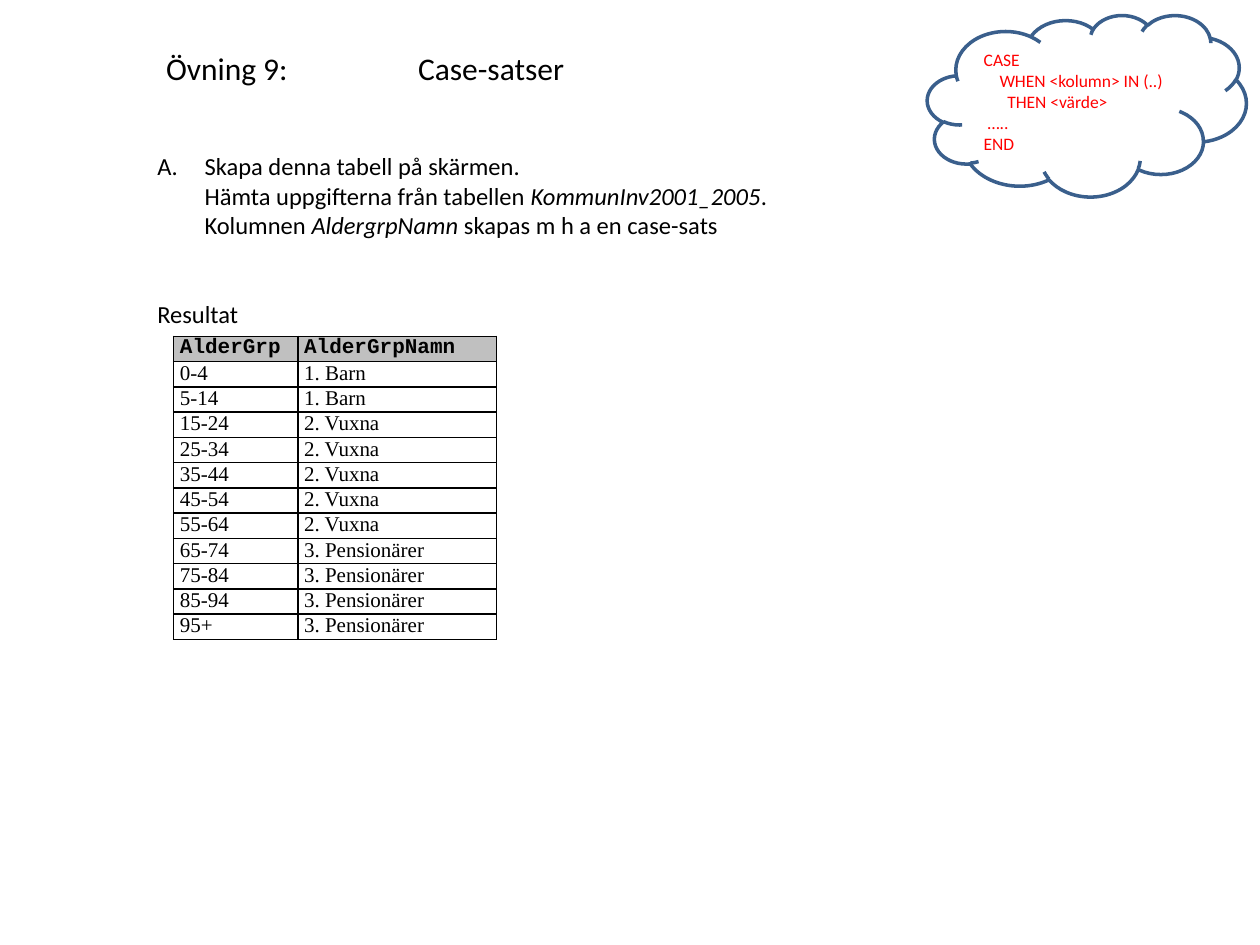
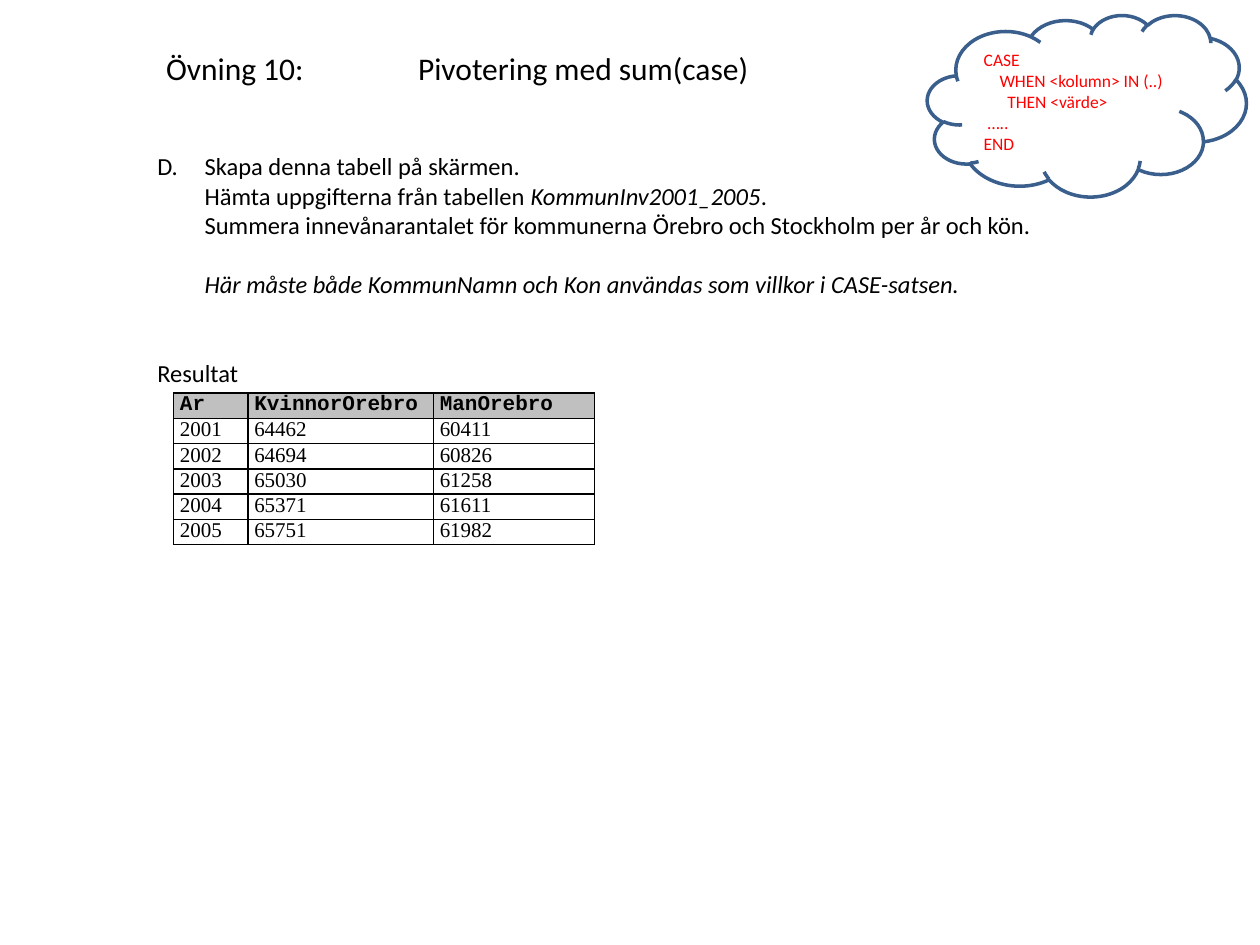
from lxml import etree
from pptx import Presentation
from pptx.dml.color import RGBColor
from pptx.enum.shapes import MSO_SHAPE
from pptx.enum.text import MSO_ANCHOR, PP_ALIGN
from pptx.oxml.ns import qn
from pptx.util import Pt

CLOUD = MSO_SHAPE.CLOUD
MIDDLE = MSO_ANCHOR.MIDDLE
LEFT = PP_ALIGN.LEFT

COLORS = {"text": "000000", "code": "FF0000", "cloud": "3A5F8C",
          "header": "C0C0C0", "border": "000000"}
BODY_FONT = "Calibri"
HEADER_FONT = "Courier New"
CELL_FONT = "Times New Roman"
LINE_HEIGHT = 17
LIST_INDENT = 27
ROW_HEIGHT = 14.4
TABLE_LEFT = 99.2

CODE_LINES = [("CASE", 0), ("WHEN <kolumn> IN (..)", 9),
              ("THEN <värde>", 13.5), ("…..", 2.25), ("END", 0)]
AGE_GROUPS = [
    ("1. Barn", ["0-4", "5-14"]),
    ("2. Vuxna", ["15-24", "25-34", "35-44", "45-54", "55-64"]),
    ("3. Pensionärer", ["65-74", "75-84", "85-94", "95+"]),
]
SHARED_LINES = ["Skapa denna tabell på skärmen.",
                "Hämta uppgifterna från tabellen *KommunInv2001_2005*."]

EXERCISES = [
    {
        "title": "Övning 9:\tCase-satser",
        "number": 1,
        "lines": SHARED_LINES + ["Kolumnen *AldergrpNamn* skapas m h a en case-sats"],
        "note": None,
        "body_height": 108.7,
        "table_top": 192.2,
        "columns": [71, 113.5],
        "rows": [("AlderGrp", "AlderGrpNamn")]
        + [(ages, name) for name, group in AGE_GROUPS for ages in group],
    },
    {
        "title": "Övning 10:\tPivotering med sum(case)",
        "number": 4,
        "lines": SHARED_LINES + ["Summera innevånarantalet för kommunerna Örebro "
                                 "och Stockholm per\u00a0år och kön."],
        "note": "*Här måste både KommunNamn och Kon användas som villkor i CASE-satsen.*",
        "body_height": 159.8,
        "table_top": 224.6,
        "columns": [42.5, 106, 92],
        "rows": [("Ar", "KvinnorOrebro", "ManOrebro"),
                 ("2001", "64462", "60411"), ("2002", "64694", "60826"),
                 ("2003", "65030", "61258"), ("2004", "65371", "61611"),
                 ("2005", "65751", "61982")],
    },
]


def write(paragraph, text, size, font=BODY_FONT, color="text", bold=False):
    for index, part in enumerate(text.split("*")):
        if part:
            span = paragraph.add_run()
            span.text = part
            span.font.size = Pt(size)
            span.font.name = font
            span.font.bold = bold
            span.font.italic = index % 2 == 1
            span.font.color.rgb = RGBColor.from_string(COLORS[color])


def set_indent(paragraph, left, first=0):
    properties = paragraph._p.get_or_add_pPr()
    properties.set("marL", str(int(Pt(left))))
    properties.set("indent", str(int(Pt(first))))
    return properties


deck = Presentation()
deck.slide_width = Pt(720)
deck.slide_height = Pt(540)

for exercise in EXERCISES:
    page = deck.slides.add_slide(deck.slide_layouts[6])

    body = page.shapes.add_textbox(Pt(82.8), Pt(82.8), Pt(618), Pt(exercise["body_height"]))
    frame = body.text_frame
    frame.word_wrap = True
    for index, line in enumerate(exercise["lines"]):
        paragraph = frame.add_paragraph() if index else frame.paragraphs[0]
        write(paragraph, line, 14)
        if index:
            set_indent(paragraph, LIST_INDENT)
        else:
            properties = set_indent(paragraph, LIST_INDENT, -LIST_INDENT)
            etree.SubElement(properties, qn("a:buAutoNum"), type="alphaUcPeriod",
                             startAt=str(exercise["number"]))
    if exercise["note"]:
        paragraph = frame.add_paragraph()
        paragraph.space_before = Pt(LINE_HEIGHT)
        set_indent(paragraph, LIST_INDENT)
        write(paragraph, exercise["note"], 14)
    paragraph = frame.add_paragraph()
    paragraph.space_before = Pt(2 * LINE_HEIGHT)
    write(paragraph, "Resultat", 14)

    title = page.shapes.add_textbox(Pt(87.8), Pt(24.5), Pt(351), Pt(29))
    title.text_frame.word_wrap = True
    paragraph = title.text_frame.paragraphs[0]
    write(paragraph, exercise["title"], 18)
    tabs = etree.SubElement(paragraph._p.get_or_add_pPr(), qn("a:tabLst"))
    etree.SubElement(tabs, qn("a:tab"), pos=str(int(Pt(144))), algn="l")

    cloud = page.shapes.add_shape(CLOUD, Pt(530), Pt(8.6), Pt(182.2), Pt(103.7))
    cloud.shadow.inherit = False
    cloud.fill.background()
    cloud.line.color.rgb = RGBColor.from_string(COLORS["cloud"])
    cloud.line.width = Pt(2)
    frame = cloud.text_frame
    frame.word_wrap = True
    frame.vertical_anchor = MIDDLE
    for index, (line, left) in enumerate(CODE_LINES):
        paragraph = frame.add_paragraph() if index else frame.paragraphs[0]
        paragraph.alignment = LEFT
        set_indent(paragraph, left)
        write(paragraph, line, 10, color="code")

    rows, columns = exercise["rows"], exercise["columns"]
    table = page.shapes.add_table(
        len(rows), len(columns), Pt(TABLE_LEFT), Pt(exercise["table_top"]),
        Pt(sum(columns)), Pt(ROW_HEIGHT * len(rows))).table
    table.first_row = False
    table.horz_banding = False
    for column, width in zip(table.columns, columns):
        column.width = Pt(width)
    for row_index, values in enumerate(rows):
        table.rows[row_index].height = Pt(ROW_HEIGHT)
        is_header = row_index == 0
        for column_index, value in enumerate(values):
            cell = table.cell(row_index, column_index)
            cell.margin_left = cell.margin_right = Pt(3.6)
            cell.margin_top = cell.margin_bottom = Pt(0)
            write(cell.text_frame.paragraphs[0], value, 12,
                  HEADER_FONT if is_header else CELL_FONT, bold=is_header)
            if is_header:
                cell.fill.solid()
                cell.fill.fore_color.rgb = RGBColor.from_string(COLORS["header"])
            else:
                cell.fill.background()
            properties = cell._tc.get_or_add_tcPr()
            for position, side in enumerate(["lnL", "lnR", "lnT", "lnB"]):
                border = etree.Element(qn("a:" + side), w=str(int(Pt(1))))
                fill = etree.SubElement(border, qn("a:solidFill"))
                etree.SubElement(fill, qn("a:srgbClr"), val=COLORS["border"])
                properties.insert(position, border)

deck.save("out.pptx")
